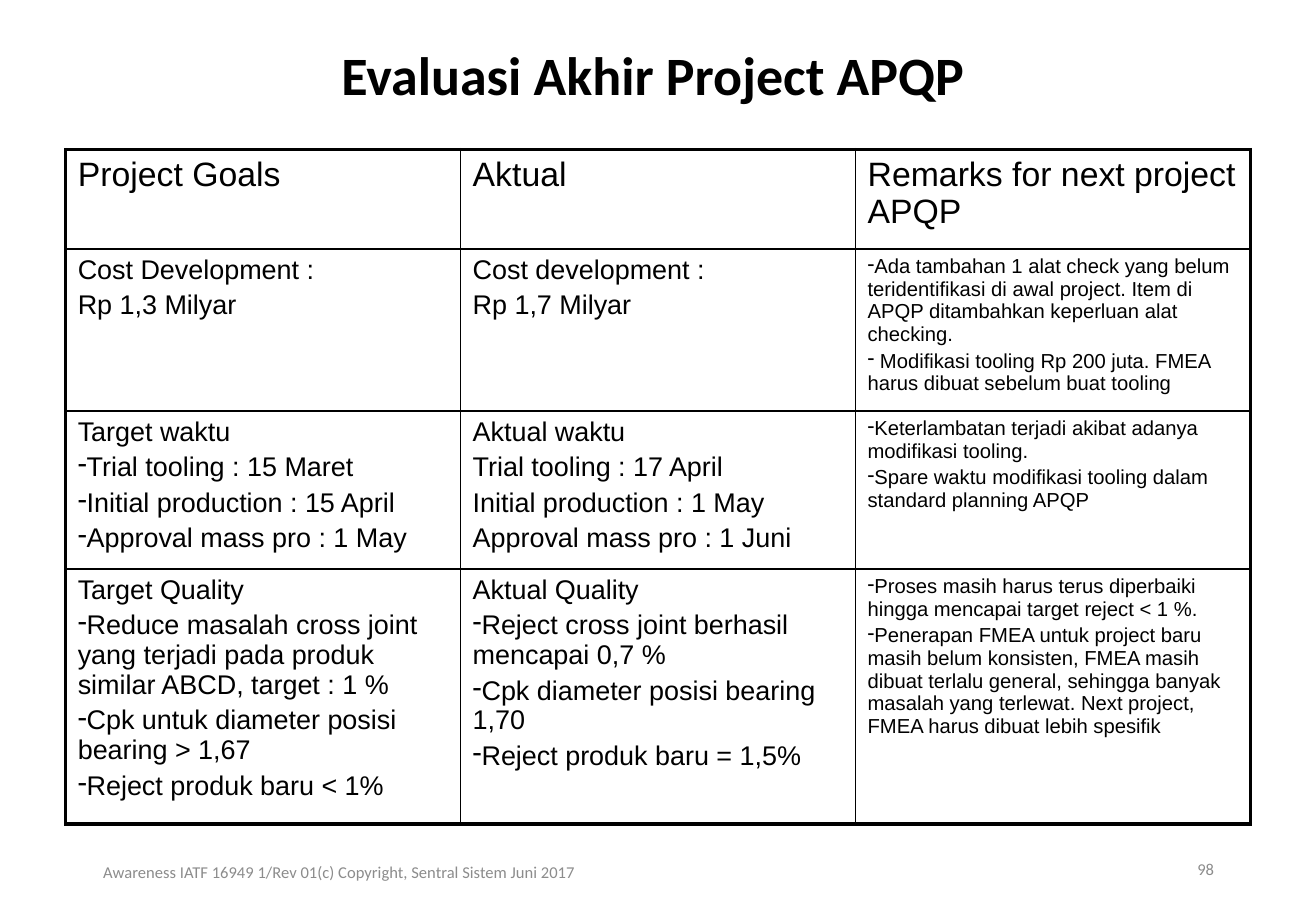
from lxml.etree import SubElement
from pptx import Presentation
from pptx.dml.color import RGBColor
from pptx.enum.text import MSO_ANCHOR as Anchor, PP_ALIGN as Align
from pptx.oxml.ns import qn
from pptx.util import Inches, Pt

COLORS = {"ink": "000000", "paper": "FFFFFF", "muted": "8C8C8C"}
THICK, THIN = 2.25, 1
HEADER_SIZE, GOAL_SIZE, REMARK_SIZE = 20, 16, 12
COLUMN_WIDTH = 3.25
ROW_HEIGHTS = [0.82, 1.25, 1.26, 1.97]
BULLET = "-"

EVALUATION = [
    [["Project Goals"], ["Aktual"], ["Remarks for next project APQP"]],
    [
        ["Cost Development :", "Rp 1,3 Milyar"],
        ["Cost development :", "Rp 1,7 Milyar"],
        ["-Ada tambahan 1 alat check yang belum teridentifikasi di awal project. "
         "Item di APQP ditambahkan keperluan alat checking.",
         "- Modifikasi tooling Rp 200 juta. FMEA harus dibuat sebelum buat tooling"],
    ],
    [
        ["Target waktu", "-Trial tooling : 15 Maret",
         "-Initial production : 15 April", "-Approval mass pro : 1 May"],
        ["Aktual waktu", "Trial tooling : 17 April",
         "Initial production : 1 May", "Approval mass pro : 1 Juni"],
        ["-Keterlambatan terjadi akibat adanya modifikasi tooling.",
         "-Spare waktu modifikasi tooling dalam standard planning APQP"],
    ],
    [
        ["Target Quality",
         "-Reduce masalah cross joint yang terjadi pada produk similar ABCD, target : 1 %",
         "-Cpk untuk diameter posisi bearing > 1,67", "-Reject produk baru < 1%"],
        ["Aktual Quality", "-Reject cross joint berhasil mencapai 0,7 %",
         "-Cpk diameter posisi bearing 1,70", "-Reject produk baru = 1,5%"],
        ["-Proses masih harus terus diperbaiki hingga mencapai target reject < 1 %.",
         "-Penerapan FMEA untuk project baru masih belum konsisten, FMEA masih dibuat "
         "terlalu general, sehingga banyak masalah yang terlewat. Next project, "
         "FMEA harus dibuat lebih spesifik"],
    ],
]


def color(name):
    return RGBColor.from_string(COLORS[name])


def add_run(para, text, size, font_name, ink="ink", bold=False):
    run = para.add_run()
    run.text = text
    run.font.size = Pt(size)
    run.font.name = font_name
    run.font.bold = bold
    run.font.color.rgb = color(ink)


def add_label(page, box, text, size, align, ink, bold=False):
    frame = page.shapes.add_textbox(*map(Inches, box)).text_frame
    frame.word_wrap = True
    frame.vertical_anchor = Anchor.MIDDLE
    para = frame.paragraphs[0]
    para.alignment = align
    add_run(para, text, size, "Calibri", ink, bold)
    return para


def add_title(page, box):
    para = add_label(page, box, "Evaluasi Akhir Project APQP", 32, Align.CENTER, "ink", True)
    para.line_spacing = 0.9


def add_bullet(para):
    properties = para._p.get_or_add_pPr()
    properties.set("marL", "0")
    properties.set("indent", "0")
    SubElement(properties, qn("a:buFontTx"))
    SubElement(properties, qn("a:buChar"), char=BULLET)


def fill_cell(cell, lines, size):
    cell.fill.solid()
    cell.fill.fore_color.rgb = color("paper")
    frame = cell.text_frame
    for index, line in enumerate(lines):
        para = frame.add_paragraph() if index else frame.paragraphs[0]
        if line.startswith(BULLET):
            add_bullet(para)
        if index:
            para.space_before = Pt(size * 0.2)
        add_run(para, line.removeprefix(BULLET), size, "Arial")


def add_borders(cell, widths):
    properties = cell._tc.get_or_add_tcPr()
    for side, width in widths.items():
        line = SubElement(properties, qn(f"a:ln{side}"), w=str(Pt(width)))
        fill = SubElement(line, qn("a:solidFill"))
        SubElement(fill, qn("a:srgbClr"), val=COLORS["ink"])


def add_evaluation(page, left, top):
    last_row, last_column = len(EVALUATION) - 1, len(EVALUATION[0]) - 1
    table = page.shapes.add_table(
        last_row + 1, last_column + 1, Inches(left), Inches(top),
        Inches(COLUMN_WIDTH * (last_column + 1)), Inches(sum(ROW_HEIGHTS))).table
    for column in table.columns:
        column.width = Inches(COLUMN_WIDTH)
    for row, height in enumerate(ROW_HEIGHTS):
        table.rows[row].height = Inches(height)
        for column, lines in enumerate(EVALUATION[row]):
            cell = table.cell(row, column)
            add_borders(cell, {
                "L": THICK if column == 0 else THIN,
                "R": THICK if column == last_column else THIN,
                "T": THICK if row == 0 else THIN,
                "B": THICK if row == last_row else THIN,
            })
            body_size = REMARK_SIZE if column == last_column else GOAL_SIZE
            fill_cell(cell, lines, body_size if row else HEADER_SIZE)


def add_footer(page, note_box, number_box):
    add_label(page, note_box,
              "Awareness IATF 16949 1/Rev 01(c) Copyright, Sentral Sistem Juni 2017",
              9.8, Align.CENTER, "muted")
    add_label(page, number_box, "98", 9.8, Align.RIGHT, "muted")


def main():
    deck = Presentation()
    deck.slide_width, deck.slide_height = Inches(10.83), Inches(7.5)
    page = deck.slides.add_slide(deck.slide_layouts[6])
    add_title(page, (0.5, 0.02, 9.75, 1.25))
    add_evaluation(page, 0.54, 1.23)
    add_footer(page, (0.33, 6.98, 4.92, 0.4), (7.65, 6.95, 2.44, 0.4))
    deck.save("out.pptx")


if __name__ == "__main__":
    main()
